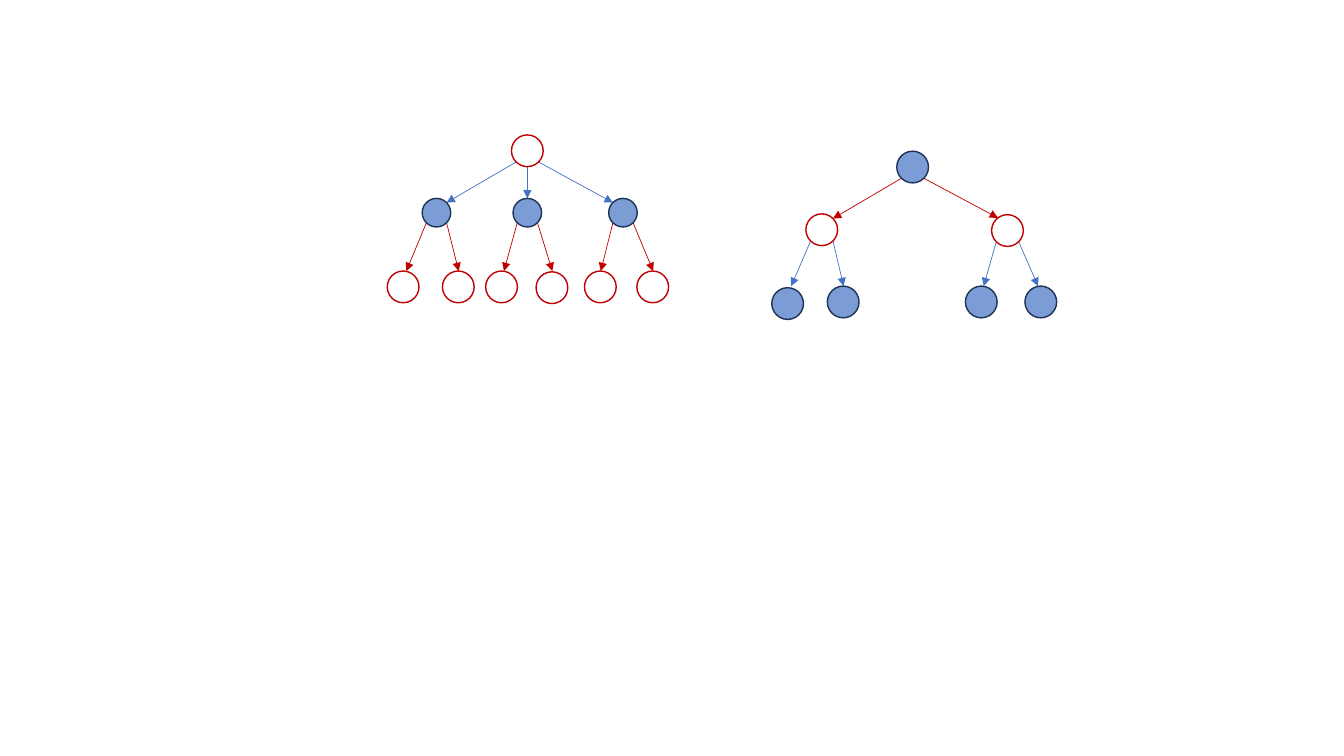
from dataclasses import dataclass
from math import sqrt
from typing import Optional

from lxml import etree
from pptx import Presentation
from pptx import util as u
from pptx.dml.color import RGBColor
from pptx.enum import shapes
from pptx.oxml import ns
from pptx.shapes.connector import Connector
from pptx.shapes.group import GroupShape

BLUE = RGBColor(0x44, 0x72, 0xC4)
NAVY = RGBColor(0x1E, 0x32, 0x56)
RED = RGBColor(0xC0, 0x00, 0x00)
OPACITY = 70


@dataclass(frozen=True)
class Node:
    x: float
    y: float
    solid: bool
    diameter: float = 0.8
    tip: Optional[tuple[float, float]] = None
    children: tuple["Node", ...] = ()

    @property
    def radius(self) -> float:
        return self.diameter / 2

    @property
    def diagonal(self) -> float:
        return self.radius / sqrt(2)


def ring_leaf(x: float, tip_x: float, y: float = 7.23) -> Node:
    return Node(x, y, False, tip=(tip_x, 6.83))


def solid_leaf(x: float, tip_x: float, y: float = 7.61) -> Node:
    return Node(x, y, True, tip=(tip_x, 7.21))


def solid_branch(x: float, *leaves: Node) -> Node:
    return Node(x, 5.36, True, 0.72, children=leaves)


RIGHT_TREE = Node(23, 4.21, True, children=(
    Node(20.71, 5.79, False, children=(
        solid_leaf(19.85, 19.94, 7.65), solid_leaf(21.25, 21.26))),
    Node(25.39, 5.81, False, tip=(25.15, 5.49), children=(
        solid_leaf(24.73, 24.79), solid_leaf(26.23, 26.16))),
))
LEFT_TREE = Node(13.29, 3.8, False, children=(
    solid_branch(11, ring_leaf(10.16, 10.24), ring_leaf(11.55, 11.56)),
    solid_branch(13.29, ring_leaf(12.64, 12.7), ring_leaf(13.91, 13.92, 7.25)),
    solid_branch(15.7, ring_leaf(15.13, 15.14), ring_leaf(16.45, 16.46)),
))


def add_arrowhead(connector: Connector) -> None:
    line = connector.line._get_or_add_ln()
    etree.SubElement(line, ns.qn("a:tailEnd"), type="triangle")
    etree.SubElement(connector._element.spPr, ns.qn("a:effectLst"))


def draw_arrow(group: GroupShape, parent: Node, child: Node) -> None:
    side = (child.x > parent.x) - (child.x < parent.x)
    if side:
        start = (parent.x + side * parent.diagonal, parent.y + parent.diagonal)
        end = child.tip or (child.x - side * child.diagonal, child.y - child.diagonal)
    else:
        start = (parent.x, parent.y + parent.radius)
        end = (child.x, child.y - child.radius)
    connector = group.shapes.add_connector(
        shapes.MSO_CONNECTOR.STRAIGHT, *(u.Cm(length) for length in start + end))
    connector.line.color.rgb = BLUE if child.solid else RED
    connector.line.width = u.Pt(0.5)
    add_arrowhead(connector)


def draw_circle(group: GroupShape, node: Node) -> None:
    shape = group.shapes.add_shape(
        shapes.MSO_SHAPE.OVAL, u.Cm(node.x - node.radius), u.Cm(node.y - node.radius),
        u.Cm(node.diameter), u.Cm(node.diameter))
    shape.shadow.inherit = False
    shape.line.color.rgb = NAVY if node.solid else RED
    shape.line.width = u.Pt(1)
    if node.solid:
        shape.fill.solid()
        shape.fill.fore_color.rgb = BLUE
        color = shape._element.spPr.find(ns.qn("a:solidFill"))[0]
        etree.SubElement(color, ns.qn("a:alpha"), val=str(OPACITY * 1000))
    else:
        shape.fill.background()


def draw_tree(group: GroupShape, node: Node) -> None:
    for child in node.children:
        draw_arrow(group, node, child)
        draw_tree(group, child)
    draw_circle(group, node)


def main() -> None:
    presentation = Presentation()
    presentation.slide_width = u.Cm(33.87)
    presentation.slide_height = u.Cm(19.05)
    slide = presentation.slides.add_slide(presentation.slide_layouts[6])
    for tree in (RIGHT_TREE, LEFT_TREE):
        draw_tree(slide.shapes.add_group_shape(), tree)
    presentation.save("out.pptx")


if __name__ == "__main__":
    main()
